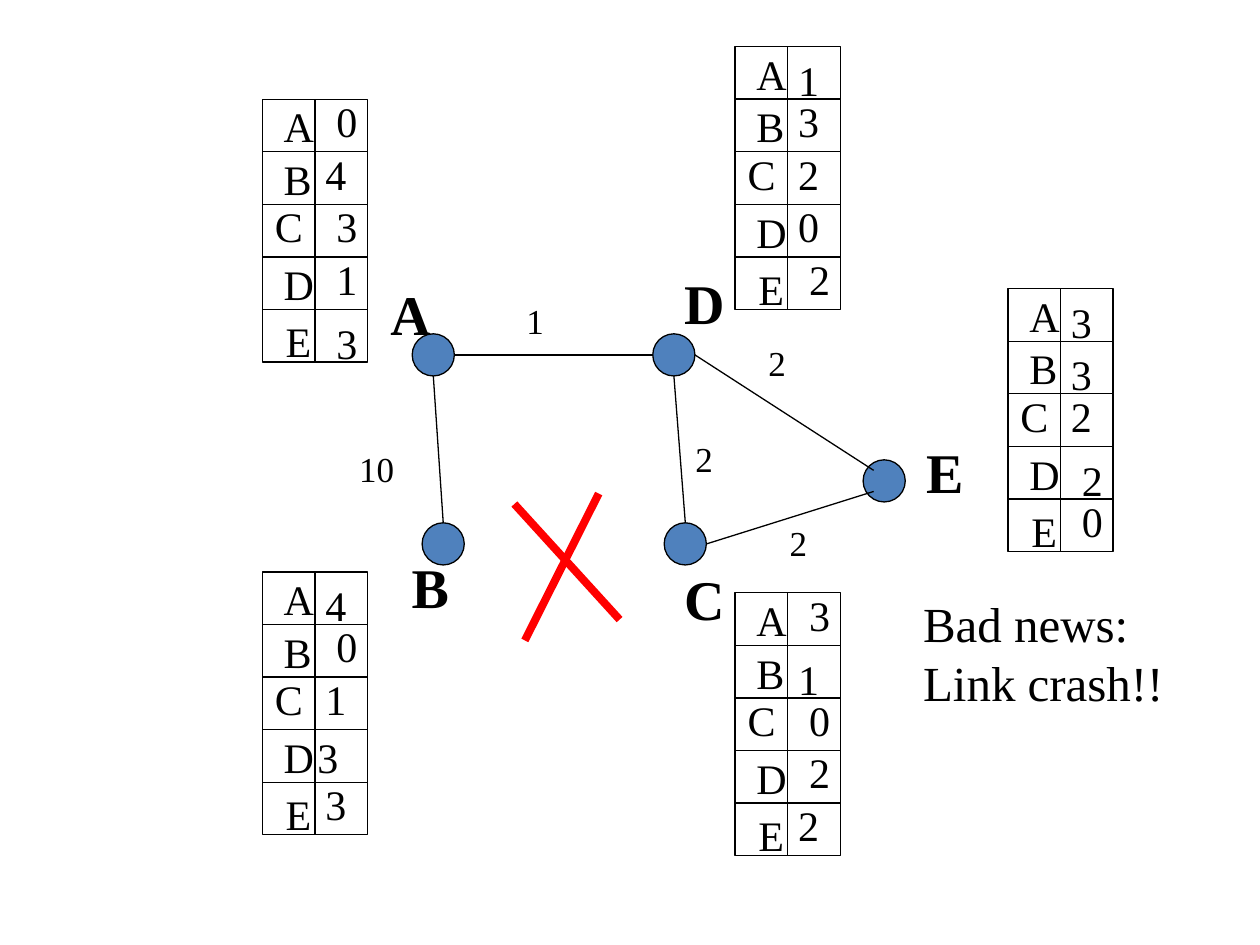
from dataclasses import dataclass

from lxml import etree
from pptx import Presentation
from pptx.dml.color import RGBColor
from pptx.enum.shapes import MSO_CONNECTOR, MSO_SHAPE
from pptx.oxml.ns import qn
from pptx.util import Cm, Pt

LINE = MSO_CONNECTOR.STRAIGHT
OVAL = MSO_SHAPE.OVAL
RECT = MSO_SHAPE.RECTANGLE


@dataclass(frozen=True)
class Theme:
    font: str = "Times New Roman"
    ink: str = "000000"
    node: str = "4F81BD"
    alert: str = "FF0000"
    thin: float = 0.75
    thick: float = 4.5
    cost: int = 20
    cell: int = 24
    note: int = 28
    name: int = 32


THEME = Theme()
SIZE = 0.85
CELL = 1.06

NODES = {
    "A": (8.31, 6.73),
    "B": (8.51, 10.54),
    "C": (13.39, 10.54),
    "E": (17.4, 9.27),
    "D": (13.16, 6.73),
}
TOP, LOW, LEFT, RIGHT = (0.5, 0), (0.5, 1), (0, 0.5), (1, 0.5)
EDGES = [
    ("A", RIGHT, "D", LEFT),
    ("A", LOW, "B", TOP),
    ("D", LOW, "C", TOP),
    ("D", RIGHT, "E", (0.25, 0.25)),
    ("C", RIGHT, "E", (0.25, 0.75)),
]
COSTS = [
    ("1", 10.36, 5.92, 0.86),
    ("10", 6.99, 8.89, 1.22),
    ("2", 13.77, 8.69, 0.86),
    ("2", 15.24, 6.76, 0.86),
    ("2", 15.67, 10.39, 0.86),
]
NAMES = [
    ("A", 7.62, 5.51, 1.32),
    ("B", 8.05, 11.02, 1.27),
    ("C", 13.54, 11.25, 1.32),
    ("E", 18.42, 8.69, 1.27),
    ("D", 13.54, 5.28, 1.32),
]
KEYS = {
    "A": (0.18, -0.09, 1.12),
    "B": (0.18, -0.09, 1.06),
    "C": (0, -0.2, 1.06),
    "D": (0.18, -0.09, 1.12),
    "E": (0.22, 0, 1.01),
}
NEAR, FAR = (1.02, -0.2), (1.24, -0.2)
NEAR_LOW, FAR_LOW = (1.02, 0.03), (1.24, 0.03)
EDGE = (0.86, -0.09)
ROUTES = [
    (5.29, 2, "04313", (FAR, NEAR, FAR, FAR, FAR_LOW)),
    (14.82, 11.95, "31022", (FAR, NEAR_LOW, FAR, FAR, NEAR)),
    (14.82, 0.94, "13202", (NEAR_LOW, NEAR, NEAR, NEAR, FAR)),
    (5.29, 11.53, "40133", (NEAR_LOW, FAR, NEAR, EDGE, NEAR)),
    (20.32, 5.82, "33220", (NEAR_LOW, NEAR_LOW, NEAR, FAR_LOW, FAR)),
]
CROSS = [((10.37, 10.16), (12.49, 12.49)), ((12.07, 9.95), (10.58, 12.91))]


def color(code):
    return RGBColor.from_string(code)


def add_text(slide, text, x, y, w, h, size, bold=False):
    box = slide.shapes.add_textbox(Cm(x), Cm(y), Cm(w), Cm(h))
    frame = box.text_frame
    frame.word_wrap = False
    frame.text = text
    for para in frame.paragraphs:
        font = para.font
        font.name = THEME.font
        font.size = Pt(size)
        font.bold = bold
        font.color.rgb = color(THEME.ink)


def add_form(slide, kind, x, y, size, fill=None):
    form = slide.shapes.add_shape(kind, Cm(x), Cm(y), Cm(size), Cm(size))
    form.shadow.inherit = False
    form.line.color.rgb = color(THEME.ink)
    form.line.width = Pt(THEME.thin)
    if fill:
        form.fill.solid()
        form.fill.fore_color.rgb = color(fill)
    else:
        form.fill.background()


def add_line(slide, start, end, code, width):
    (x1, y1), (x2, y2) = start, end
    line = slide.shapes.add_connector(LINE, Cm(x1), Cm(y1), Cm(x2), Cm(y2))
    line.line.color.rgb = color(code)
    line.line.width = Pt(width)
    etree.SubElement(line._element.spPr, qn("a:effectLst"))


def port(name, side):
    return tuple(at + SIZE * part for at, part in zip(NODES[name], side))


def add_route(slide, x, y, hops, spots):
    for row in range(len(KEYS)):
        for col in range(2):
            add_form(slide, RECT, x + col * CELL, y + row * CELL, CELL)
    for row, (key, (dx, dy, w)) in enumerate(KEYS.items()):
        add_text(slide, key, x + dx, y + row * CELL + dy, w, 1.27,
                 THEME.cell)
    for row, (hop, (dx, dy)) in enumerate(zip(hops, spots)):
        add_text(slide, hop, x + dx, y + row * CELL + dy, 0.94, 1.27,
                 THEME.cell)


def main():
    deck = Presentation()
    deck.slide_width, deck.slide_height = Cm(25.4), Cm(19.05)
    slide = deck.slides.add_slide(deck.slide_layouts[6])
    for x, y in NODES.values():
        add_form(slide, OVAL, x, y, SIZE, THEME.node)
    for tail, out, head, side in EDGES:
        add_line(slide, port(tail, out), port(head, side),
                 THEME.ink, THEME.thin)
    for text, x, y, w in COSTS:
        add_text(slide, text, x, y, w, 1.12, THEME.cost)
    for text, x, y, w in NAMES:
        add_text(slide, text, x, y, w, 1.6, THEME.name, True)
    for route in ROUTES:
        add_route(slide, *route)
    for start, end in CROSS:
        add_line(slide, start, end, THEME.alert, THEME.thick)
    add_text(slide, "Bad news:\nLink crash!!", 18.36, 11.84, 5.36, 2.62,
             THEME.note)
    deck.save("out.pptx")


if __name__ == "__main__":
    main()
